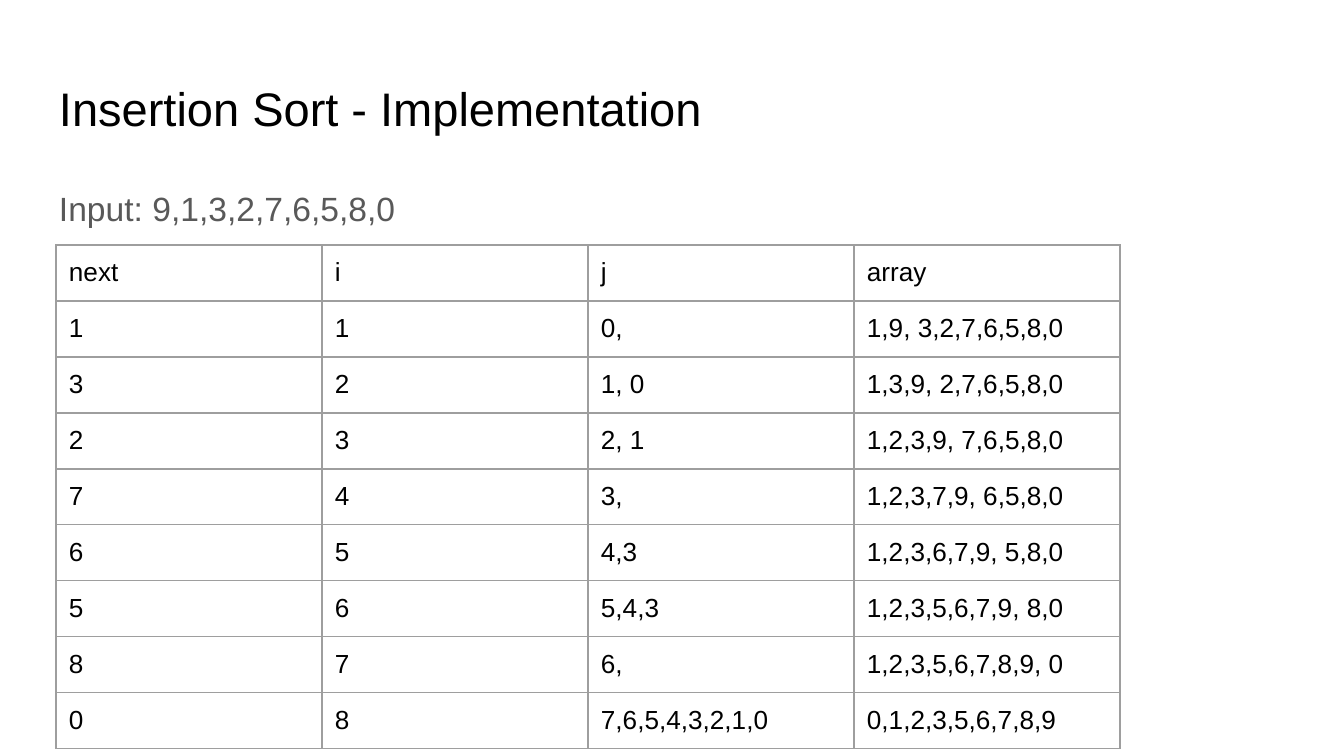
from lxml import etree
from pptx import Presentation
from pptx import util as u
from pptx.dml.color import RGBColor
from pptx.enum import text
from pptx.oxml import ns

TITLE = "Insertion Sort - Implementation"
INPUT = "Input: 9,1,3,2,7,6,5,8,0"
STEPS = [
    ("next", "i", "j", "array"),
    ("1", "1", "0,", "1,9, 3,2,7,6,5,8,0"),
    ("3", "2", "1, 0", "1,3,9, 2,7,6,5,8,0"),
    ("2", "3", "2, 1", "1,2,3,9, 7,6,5,8,0"),
    ("7", "4", "3,", "1,2,3,7,9, 6,5,8,0"),
    ("6", "5", "4,3", "1,2,3,6,7,9, 5,8,0"),
    ("5", "6", "5,4,3", "1,2,3,5,6,7,9, 8,0"),
    ("8", "7", "6,", "1,2,3,5,6,7,8,9, 0"),
    ("0", "8", "7,6,5,4,3,2,1,0", "0,1,2,3,5,6,7,8,9"),
]

FONT = "Arial"
BLACK = RGBColor(0x00, 0x00, 0x00)
GRAY = RGBColor(0x59, 0x59, 0x59)
BORDER = RGBColor(0x9E, 0x9E, 0x9E)

SLIDE_SIZE = (1344, 756)
TITLE_BOX = (46, 66, 1253, 84)
BODY_BOX = (46, 169, 1253, 503)
TABLE_ORIGIN = (56, 245)
COLUMN_WIDTH, ROW_HEIGHT = 266, 56
INSET = 13


def px(length):
    return round(length * 914400 / 134.4)


def write(frame, words, size, color=BLACK, line_spacing=1.0, space_after=0):
    paragraph = frame.paragraphs[0]
    paragraph.text = words
    properties = paragraph._p.get_or_add_pPr()
    properties.set("marL", "0")
    properties.set("indent", "0")
    etree.SubElement(properties, ns.qn("a:buNone"))
    paragraph.alignment = text.PP_ALIGN.LEFT
    paragraph.line_spacing = line_spacing
    paragraph.space_before = u.Pt(0)
    paragraph.space_after = u.Pt(space_after)
    font = paragraph.runs[0].font
    font.name, font.size = FONT, u.Pt(size)
    font.color.rgb = color


def set_insets(target):
    target.margin_left = target.margin_right = px(INSET)
    target.margin_top = target.margin_bottom = px(INSET)
    target.vertical_anchor = text.MSO_ANCHOR.TOP


def fill_placeholder(shape, box, words, **format):
    shape.left, shape.top, shape.width, shape.height = map(px, box)
    frame = shape.text_frame
    frame.word_wrap = True
    frame.auto_size = text.MSO_AUTO_SIZE.NONE
    set_insets(frame)
    write(frame, words, **format)


def add_borders(cell):
    properties = cell._tc.get_or_add_tcPr()
    for index, side in enumerate(("lnL", "lnR", "lnT", "lnB")):
        line = etree.Element(ns.qn(f"a:{side}"), w=str(u.Pt(0.75)))
        fill = etree.SubElement(line, ns.qn("a:solidFill"))
        etree.SubElement(fill, ns.qn("a:srgbClr"), val=str(BORDER))
        properties.insert(index, line)


def add_steps_table(slide):
    rows, columns = len(STEPS), len(STEPS[0])
    size = (columns * COLUMN_WIDTH, rows * ROW_HEIGHT)
    table = slide.shapes.add_table(rows, columns, *map(px, TABLE_ORIGIN + size)).table
    table.first_row = table.horz_banding = False
    for column in table.columns:
        column.width = px(COLUMN_WIDTH)
    for row, values in zip(table.rows, STEPS):
        row.height = px(ROW_HEIGHT)
        for cell, value in zip(row.cells, values):
            set_insets(cell)
            cell.fill.background()
            add_borders(cell)
            write(cell.text_frame, value, size=14)


def main():
    presentation = Presentation()
    presentation.slide_width, presentation.slide_height = map(px, SLIDE_SIZE)
    slide = presentation.slides.add_slide(presentation.slide_layouts[1])
    fill_placeholder(slide.shapes.title, TITLE_BOX, TITLE, size=25.2)
    fill_placeholder(slide.placeholders[1], BODY_BOX, INPUT, size=18, color=GRAY,
                     line_spacing=1.15, space_after=12)
    add_steps_table(slide)
    presentation.save("out.pptx")


if __name__ == "__main__":
    main()
